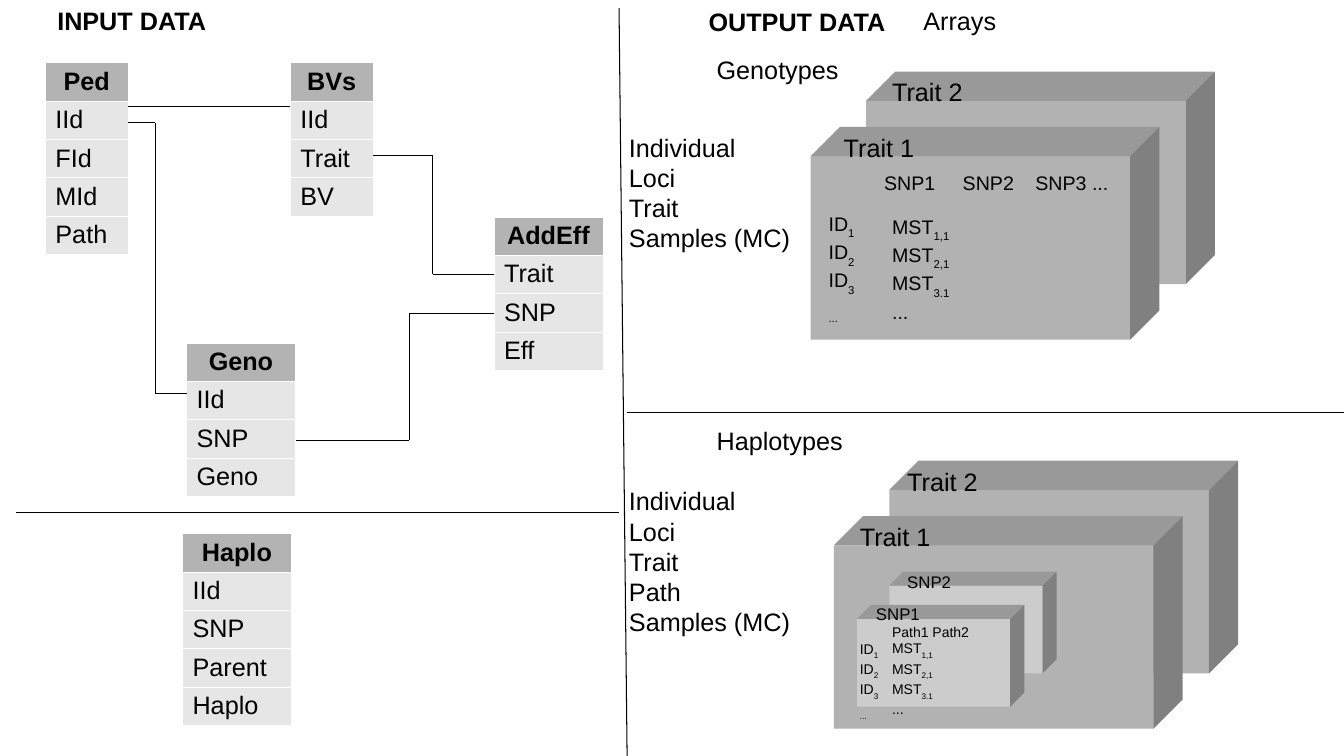
from dataclasses import dataclass
from itertools import pairwise

from lxml import etree
from pptx import Presentation
from pptx.dml.color import RGBColor
from pptx.enum.shapes import MSO_CONNECTOR, MSO_SHAPE
from pptx.enum.text import PP_ALIGN
from pptx.oxml.ns import qn
from pptx.util import Inches, Pt

CENTER, LEFT = PP_ALIGN.CENTER, PP_ALIGN.LEFT
STRAIGHT, RECTANGLE = MSO_CONNECTOR.STRAIGHT, MSO_SHAPE.RECTANGLE
COLORS = {
    "ink": "000000", "border": "FFFFFF", "header": "B3B3B3", "field": "E6E6E6",
    "trait": "B2B2B2", "snp": "CCCCCC", "top": "999999", "side": "808080",
}
ROW_HEIGHT = 0.38
Point = tuple[float, float]


@dataclass(frozen=True)
class Block:
    left: float
    top: float
    width: float = 3.17
    height: float = 1.82
    depth: float = 0.29
    front: str = "trait"


@dataclass(frozen=True)
class DataTable:
    left: float
    top: float
    width: float
    name: str
    fields: tuple[str, ...]


@dataclass(frozen=True)
class Label:
    left: float
    top: float
    width: float
    height: float
    lines: tuple[str, ...]
    size: int = 18
    bold: bool = False
    tabs: tuple[float, ...] = ()


SNP_SIZE = {"width": 1.52, "height": 0.87, "depth": 0.14, "front": "snp"}
BLOCKS = [  # back to front
    Block(8.82, 4.86), Block(8.27, 5.41),
    Block(8.82, 5.81, **SNP_SIZE), Block(8.5, 6.14, **SNP_SIZE),
    Block(8.59, 1), Block(8.04, 1.55),
]
TABLES = [
    DataTable(0.45, 0.62, 0.82, "Ped", ("IId", "FId", "MId", "Path")),
    DataTable(2.88, 0.62, 0.82, "BVs", ("IId", "Trait", "BV")),
    DataTable(4.9, 2.15, 1.08, "AddEff", ("Trait", "SNP", "Eff")),
    DataTable(1.85, 3.4, 1.08, "Geno", ("IId", "SNP", "Geno")),
    DataTable(1.81, 5.29, 1.08, "Haplo", ("IId", "SNP", "Parent", "Haplo")),
]
LINES: list[list[Point]] = [
    # Links between tables
    [(1.27, 1.06), (2.88, 1.06)],
    [(1.27, 1.22), (1.54, 1.22), (1.54, 3.9), (1.85, 3.9)],
    [(3.7, 1.54), (4.29, 1.54), (4.29, 2.72), (4.9, 2.72)],
    [(2.94, 4.37), (4.06, 4.37), (4.06, 3.11), (4.9, 3.11)],
    # Dividers
    [(0.16, 5.08), (6.14, 5.08)],
    [(6.14, 0.08), (6.22, 7.5)],
    [(6.22, 4.09), (13.33, 4.09)],
]
# An underscore starts a subscript
IDS = ("ID_1", "ID_2", "ID_3", "_...")
TERMS = ("MST_1,1", "MST_2,1", "MST_3.1", "...")
LABELS = [
    Label(0.47, 0, 2.83, 0.38, ("INPUT DATA",), bold=True),
    Label(6.93, 0.01, 2.83, 0.38, ("OUTPUT DATA",), bold=True),
    Label(9.06, 0, 1.42, 0.38, ("Arrays",)),
    # Genotypes
    Label(7.01, 0.49, 2.2, 0.38, ("Genotypes",)),
    Label(6.14, 1.26, 1.97, 1.22, ("Individual", "Loci", "Trait", "Samples (MC)")),
    Label(8.75, 0.71, 1.73, 0.38, ("Trait 2",)),
    Label(8.27, 1.26, 1.73, 0.38, ("Trait 1",)),
    Label(8.67, 1.65, 3.46, 0.32, ("SNP1\tSNP2\tSNP3 ...",), 14, tabs=(0.78, 1.5)),
    Label(8.12, 2.05, 0.63, 1.38, IDS, 14),
    Label(8.75, 2.08, 1.1, 1.33, TERMS, 14),
    # Haplotypes
    Label(7.01, 4.17, 2.2, 0.38, ("Haplotypes",)),
    Label(6.14, 4.77, 1.97, 1.5, ("Individual", "Loci", "Trait", "Path", "Samples (MC)")),
    Label(8.9, 4.58, 1.73, 0.38, ("Trait 2",)),
    Label(8.43, 5.12, 1.73, 0.38, ("Trait 1",)),
    Label(8.9, 5.62, 0.87, 0.28, ("SNP2",), 12),
    Label(8.59, 5.94, 0.87, 0.28, ("SNP1",), 12),
    Label(8.75, 6.14, 3.46, 0.25, ("Path1 Path2",), 10),
    Label(8.43, 6.3, 0.63, 1.01, IDS, 10),
    Label(8.75, 6.3, 1.1, 0.97, TERMS, 10),
]


def color(name: str) -> RGBColor:
    return RGBColor.from_string(COLORS[name])


def format_font(font, size: int, bold: bool = False) -> None:
    for attribute, value in {"name": "Arial", "size": Pt(size), "bold": bold}.items():
        setattr(font, attribute, value)
    font.color.rgb = color("ink")


def paint(shape, fill: str) -> None:
    shape.shadow.inherit = False
    shape.fill.solid()
    shape.fill.fore_color.rgb = color(fill)
    shape.line.fill.background()


def add_face(slide, points: list[Point], fill: str) -> None:
    corners = [(Inches(x), Inches(y)) for x, y in points]
    builder = slide.shapes.build_freeform(*corners[0])
    builder.add_line_segments(corners[1:], close=True)
    paint(builder.convert_to_shape(), fill)


def add_block(slide, block: Block) -> None:
    left, top, depth = block.left, block.top, block.depth
    right, bottom = left + block.width, top + block.height
    front = slide.shapes.add_shape(
        RECTANGLE, *map(Inches, (left, top, block.width, block.height)))
    paint(front, block.front)
    back_right = (right + depth, top - depth)
    add_face(slide, [(left, top), (left + depth, top - depth), back_right, (right, top)], "top")
    add_face(slide, [(right, top), back_right, (right + depth, bottom - depth),
                     (right, bottom)], "side")


def add_borders(cell) -> None:
    properties = cell._tc.get_or_add_tcPr()
    for position, side in enumerate(("lnL", "lnR", "lnT", "lnB")):
        border = etree.Element(qn(f"a:{side}"), w=str(Pt(0.06)))
        fill = etree.SubElement(border, qn("a:solidFill"))
        etree.SubElement(fill, qn("a:srgbClr"), val=COLORS["border"])
        properties.insert(position, border)


def add_data_table(slide, data: DataTable) -> None:
    texts = (data.name, *data.fields)
    table = slide.shapes.add_table(len(texts), 1, *map(Inches, (
        data.left, data.top, data.width, ROW_HEIGHT * len(texts)))).table
    table.horz_banding = False
    table.first_row = False
    for index, text in enumerate(texts):
        is_header = index == 0
        table.rows[index].height = Inches(ROW_HEIGHT)
        cell = table.cell(index, 0)
        cell.fill.solid()
        cell.fill.fore_color.rgb = color("header" if is_header else "field")
        add_borders(cell)
        paragraph = cell.text_frame.paragraphs[0]
        paragraph.alignment = CENTER if is_header else LEFT
        run = paragraph.add_run()
        run.text = text
        format_font(run.font, 18, is_header)


def add_line(slide, points: list[Point]) -> None:
    for start, end in pairwise(points):
        connector = slide.shapes.add_connector(STRAIGHT, *map(Inches, (*start, *end)))
        connector.line.color.rgb = color("ink")
        connector.line.width = Pt(0.75)
        etree.SubElement(connector._element.spPr, qn("a:effectLst"))


def add_label(slide, label: Label) -> None:
    frame = slide.shapes.add_textbox(*map(Inches, (
        label.left, label.top, label.width, label.height))).text_frame
    frame.word_wrap = True
    for index, line in enumerate(label.lines):
        paragraph = frame.add_paragraph() if index else frame.paragraphs[0]
        if label.tabs:
            tab_list = etree.SubElement(paragraph._p.get_or_add_pPr(), qn("a:tabLst"))
            for tab in label.tabs:
                etree.SubElement(tab_list, qn("a:tab"), pos=str(Inches(tab)), algn="l")
        base, _, subscript = line.partition("_")
        for text, baseline in ((base, None), (subscript, "-33000")):
            if text:
                run = paragraph.add_run()
                run.text = text
                format_font(run.font, label.size, label.bold)
                if baseline:
                    run._r.get_or_add_rPr().set("baseline", baseline)


def main() -> None:
    presentation = Presentation()
    presentation.slide_width, presentation.slide_height = Inches(13.33), Inches(7.5)
    slide = presentation.slides.add_slide(presentation.slide_layouts[6])
    for items, draw in ((BLOCKS, add_block), (TABLES, add_data_table),
                        (LINES, add_line), (LABELS, add_label)):
        for item in items:
            draw(slide, item)
    presentation.save("out.pptx")


if __name__ == "__main__":
    main()
